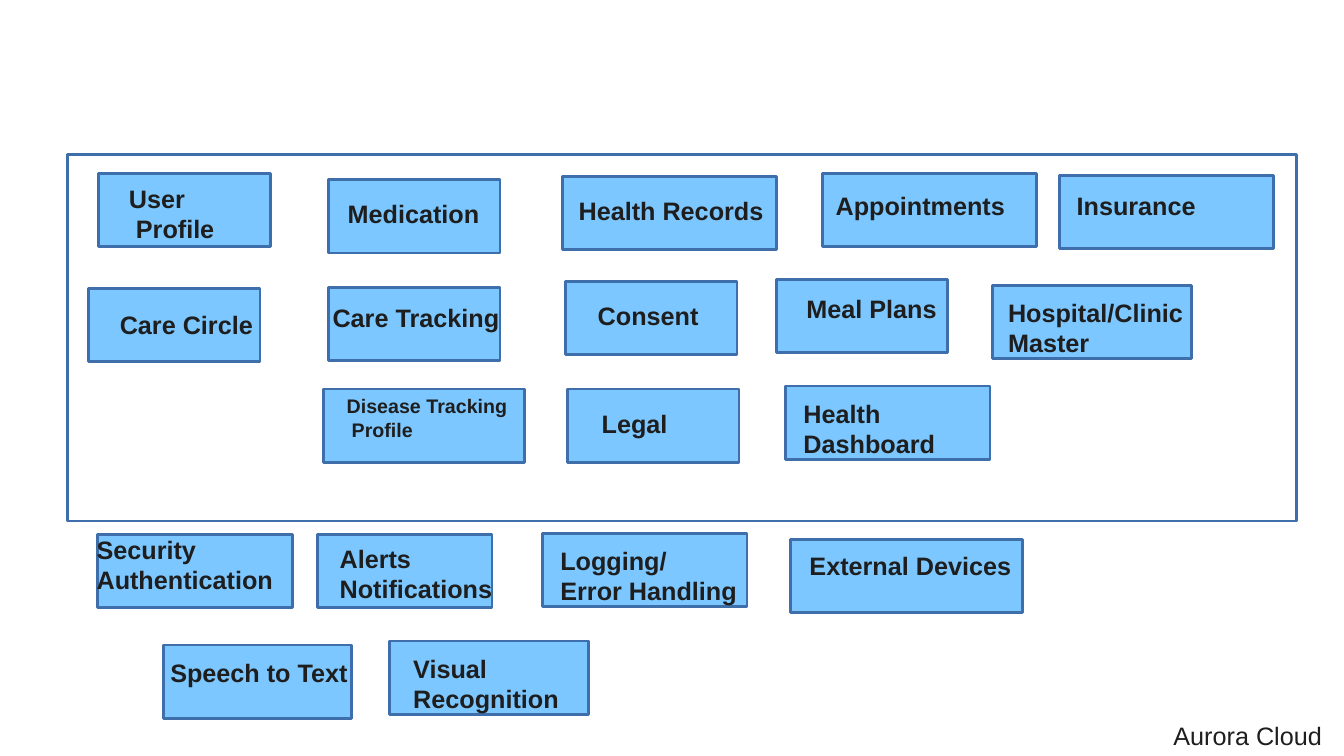
from pptx import Presentation
from pptx.dml.color import RGBColor
from pptx.enum import shapes, text
from pptx.util import Inches, Pt

SKY = RGBColor(0x7C, 0xC7, 0xFF)
STEEL = RGBColor(0x3F, 0x6F, 0xAA)
INK = RGBColor(0x1E, 0x1E, 0x1E)
MODULE_HEIGHT = 0.73

# label, box (left, top, width), label position (left, top, width)
MODULES = [
    ("Alerts\nNotifications", (3.15, 5.3, 1.73), (3.27, 5.34, 1.73)),
    ("Security\nAuthentication", (0.97, 5.3, 1.93), (0.86, 5.25, 2.23)),
    ("Speech to Text", (1.62, 6.4, 1.87), (1.59, 6.47, 1.98)),
    ("Visual\nRecognition", (3.86, 6.36, 1.98), (4, 6.43, 1.66)),
    ("External Devices", (7.84, 5.35, 2.3), (7.93, 5.41, 2.22)),
    ("Medication", (3.26, 1.78, 1.7), (3.35, 1.92, 1.52)),
    ("Health Records", (5.58, 1.75, 2.12), (5.64, 1.89, 2.05)),
    ("Appointments", (8.16, 1.72, 2.12), (8.19, 1.84, 1.9)),
    ("Insurance", (10.51, 1.74, 2.12), (10.58, 1.84, 1.39)),
    ("Care Circle", (0.88, 2.86, 1.7), (1.09, 3.02, 1.53)),
    ("Care Tracking", (3.26, 2.85, 1.7), (3.2, 2.95, 1.87)),
    ("Consent", (5.61, 2.79, 1.7), (5.83, 2.93, 1.21)),
    ("Meal Plans", (7.7, 2.77, 1.7), (7.9, 2.86, 1.51)),
    ("Hospital/Clinic\nMaster", (9.84, 2.83, 1.98), (9.9, 2.9, 1.96)),
    ("Logging/\nError Handling", (5.38, 5.29, 2.03), (5.46, 5.36, 1.97)),
    ("Health\nDashboard", (7.79, 3.83, 2.03), (7.87, 3.9, 1.52)),
    ("Legal", (5.63, 3.86, 1.7), (5.87, 4, 0.86)),
]


def add_box(slide, left, top, width, height=MODULE_HEIGHT, fill=SKY):
    sp = slide.shapes.add_shape(
        shapes.MSO_SHAPE.RECTANGLE,
        Inches(left), Inches(top), Inches(width), Inches(height))
    sp.shadow.inherit = False
    if fill is None:
        sp.fill.background()
    else:
        sp.fill.solid()
        sp.fill.fore_color.rgb = fill
    sp.line.color.rgb = STEEL
    sp.line.width = Pt(2)


def add_label(slide, label, left, top, width, size=18, bold=True, indent=0):
    """Add one paragraph per line; indent moves every line but the first."""
    lines = label.split("\n")
    height = 0.1 + len(lines) * size / 60
    sp = slide.shapes.add_textbox(
        Inches(left), Inches(top), Inches(width), Inches(height))
    tf = sp.text_frame
    tf.word_wrap = False
    tf.auto_size = text.MSO_AUTO_SIZE.SHAPE_TO_FIT_TEXT
    tf.text = label
    for i, p in enumerate(tf.paragraphs):
        if i and indent:
            p._p.get_or_add_pPr().set("marL", str(Inches(indent)))
        for r in p.runs:
            r.font.name = "Arial"
            r.font.size = Pt(size)
            r.font.bold = bold
            r.font.color.rgb = INK


def add_module(slide, label, box, label_at, **style):
    add_box(slide, *box)
    add_label(slide, label, *label_at, **style)


def main():
    prs = Presentation()
    prs.slide_width = Inches(13.33)
    prs.slide_height = Inches(7.5)
    slide = prs.slides.add_slide(prs.slide_layouts[6])

    add_box(slide, 0.67, 1.53, 12.19, 3.64, fill=None)
    add_label(slide, "Aurora Cloud", 11.54, 7.1, 1.74, bold=False)
    add_module(slide, "User\nProfile", (0.98, 1.72, 1.7),
               (1.18, 1.77, 1.06), indent=0.07)
    add_module(slide, "Disease Tracking\nProfile", (3.21, 3.86, 1.99),
               (3.34, 3.86, 1.89), size=14, indent=0.05)
    for label, box, label_at in MODULES:
        add_module(slide, label, box, label_at)

    prs.save("out.pptx")


if __name__ == "__main__":
    main()
